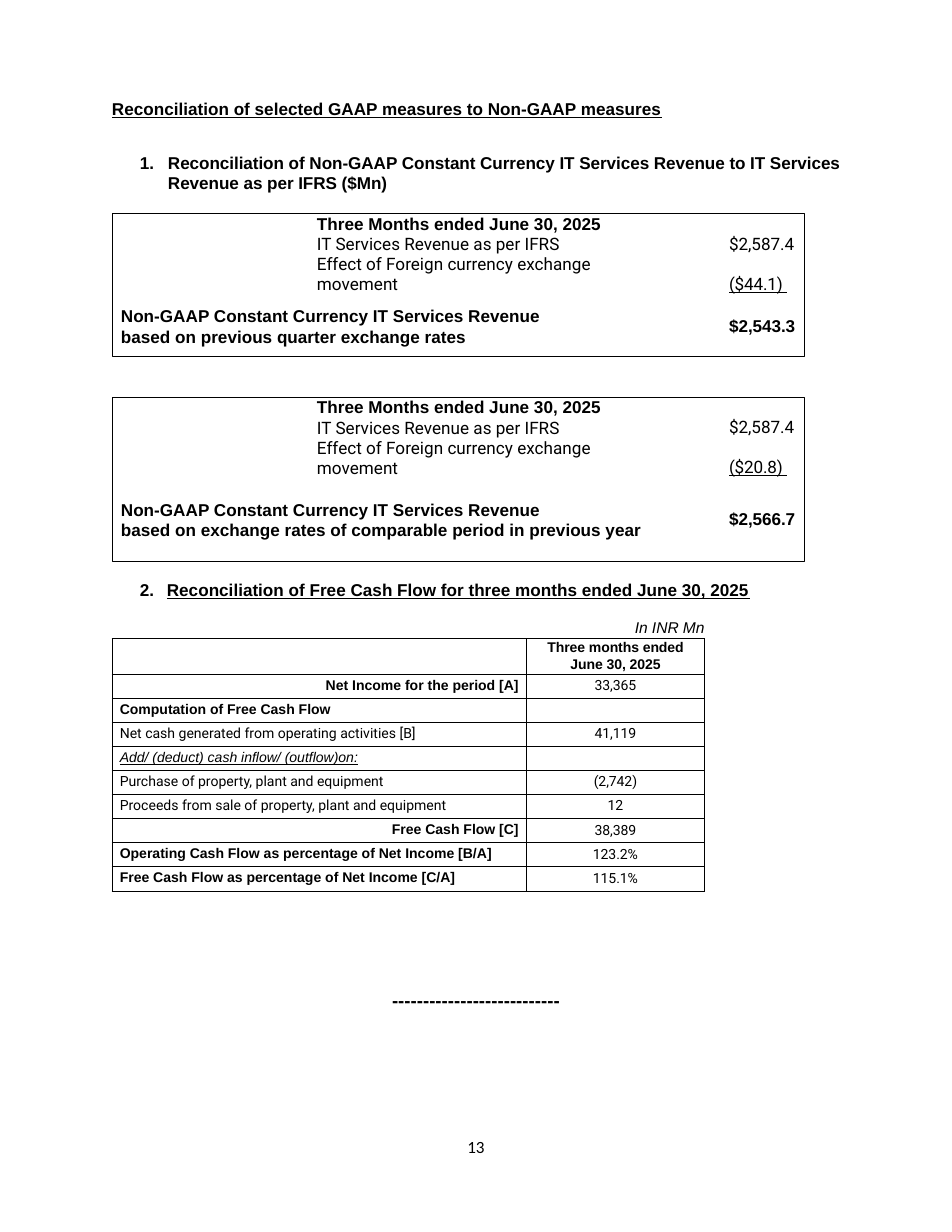
from dataclasses import dataclass
from typing import NamedTuple

from lxml.etree import SubElement
from pptx import Presentation
from pptx.dml.color import RGBColor
from pptx.enum.text import PP_ALIGN
from pptx.oxml.ns import qn
from pptx.util import Emu, Inches, Pt

BLACK = RGBColor(0, 0, 0)
UNIT = Inches(0.1)  # the page is a grid of 85 columns by 110 rows
COLUMNS, ROWS = 85, 110
MARGIN = 10
FRAME_WIDTH = 61.8
FRAME_SPLIT = 3.65  # height of the upper part of a frame
LABEL_LEFT = MARGIN + 0.8
LINE = 12.9


class Area(NamedTuple):
    left: float
    top: float
    width: float
    height: float


@dataclass
class Reconciliation:
    top: float
    height: float
    label_offset: float
    effect: str
    basis: str
    total: str


@dataclass
class CashFlowRow:
    label: str
    value: str = ""
    bold: bool = False
    italic: bool = False
    align: PP_ALIGN = PP_ALIGN.LEFT


RECONCILIATIONS = [
    Reconciliation(19.05, 12.8, 8.1, "($44.1) ",
                   "based on previous quarter exchange rates", "$2,543.3"),
    Reconciliation(35.45, 14.65, 8.95, "($20.8) ",
                   "based on exchange rates of comparable period in previous year", "$2,566.7"),
]
CASH_FLOW = [
    CashFlowRow("Net Income for the period [A]", "33,365", bold=True, align=PP_ALIGN.RIGHT),
    CashFlowRow("Computation of Free Cash Flow", bold=True),
    CashFlowRow("Net cash generated from operating activities [B]", "41,119"),
    CashFlowRow("Add/ (deduct) cash inflow/ (outflow)on:", italic=True),
    CashFlowRow("Purchase of property, plant and equipment", "(2,742)"),
    CashFlowRow("Proceeds from sale of property, plant and equipment", "12"),
    CashFlowRow("Free Cash Flow [C]", "38,389", bold=True, align=PP_ALIGN.RIGHT),
    CashFlowRow("Operating Cash Flow as percentage of Net Income [B/A]", "123.2%", bold=True),
    CashFlowRow("Free Cash Flow as percentage of Net Income [C/A]", "115.1%", bold=True),
]


def grid(count: float) -> Emu:
    return Emu(round(count * UNIT))


def place(area: Area) -> list[Emu]:
    return [grid(length) for length in area]


def add_span(para, text: str, *, size: float = 11, font: str = "Arial", bold: bool = False,
             italic: bool = False, underline: bool = False, spacing: float = 0) -> None:
    span = para.add_run()
    span.text = text
    span.font.size, span.font.name = Pt(size), font
    span.font.bold, span.font.italic, span.font.underline = bold, italic, underline
    span.font.color.rgb = BLACK
    span._r.get_or_add_rPr().set("spc", str(round(spacing * 100)))


def add_box(page, area: Area):
    """Add a text box and return its text frame."""
    frame = page.shapes.add_textbox(*place(area)).text_frame
    frame.word_wrap = True
    frame.margin_left = frame.margin_right = frame.margin_bottom = 0
    frame.margin_top = Inches(0.02)
    return frame


def write(frame, text: str, *, number: str = "", indent: float = 0, hanging: float = 0,
          line: float | None = None, before: float = 0,
          align: PP_ALIGN = PP_ALIGN.LEFT, **style) -> None:
    """Add one paragraph, using the frame's first paragraph while it is empty."""
    first = frame.paragraphs[0]
    para = frame.add_paragraph() if first.runs else first
    properties = para._p.get_or_add_pPr()
    properties.set("marL", str(grid(indent)))
    properties.set("indent", str(-grid(hanging)))
    para.alignment = align
    para.space_before = Pt(before)
    if line:
        para.line_spacing = Pt(line)
    if number:
        add_span(para, number + "\t", **{**style, "underline": False})
    for index, part in enumerate(text.split("\n")):
        if index:
            para.add_line_break()
        add_span(para, part, **style)


def draw_bracket(page, start: float, end: float) -> None:
    """Draw both sides of a frame and the edge that joins them at row `end`."""
    right = MARGIN + FRAME_WIDTH
    builder = page.shapes.build_freeform(grid(MARGIN), grid(start))
    builder.add_line_segments(
        [(grid(MARGIN), grid(end)), (grid(right), grid(end)), (grid(right), grid(start))],
        close=False)
    bracket = builder.convert_to_shape()
    bracket.shadow.inherit = False
    bracket.fill.background()
    bracket.line.color.rgb = BLACK
    bracket.line.width = Pt(0.5)


def draw_reconciliation(page, item: Reconciliation) -> None:
    split = item.top + FRAME_SPLIT
    draw_bracket(page, split, item.top)
    draw_bracket(page, split, item.top + item.height)

    lines = add_box(page, Area(LABEL_LEFT, item.top - 0.2, 42.9, 5.7))
    write(lines, "Three Months ended June 30, 2025", indent=17.5, line=13.1, bold=True)
    for text in ("IT Services Revenue as per IFRS", "Effect of Foreign currency exchange movement"):
        write(lines, text, indent=17.5, line=LINE, font="Roboto")

    amounts = add_box(page, Area(63.5, item.top + 1.6, 8.4, 5.7))
    write(amounts, "$2,587.4", indent=1.6, line=LINE, font="Roboto", spacing=-0.05)
    write(amounts, item.effect, indent=1.6, line=LINE, before=LINE, font="Roboto",
          underline=True, spacing=-0.1)

    label_top = item.top + item.label_offset
    label = add_box(page, Area(LABEL_LEFT, label_top, 48, 3.9))
    write(label, "Non-GAAP Constant Currency IT Services Revenue", line=LINE, bold=True)
    write(label, item.basis, line=LINE, bold=True)
    total = add_box(page, Area(65.1, label_top + 0.8, 6.5, 2.1))
    write(total, item.total, bold=True, spacing=-0.05)


def prepare_cell(cell, top: float) -> None:
    """Clear the fill, set margins and draw a thin black border on all four sides."""
    cell.fill.background()
    cell.margin_left = cell.margin_right = Inches(0.07)
    cell.margin_top, cell.margin_bottom = Inches(top), 0
    cell.text_frame.paragraphs[0]._p.get_or_add_endParaRPr().set("sz", "900")
    properties = cell._tc.get_or_add_tcPr()
    for index, side in enumerate(("lnL", "lnR", "lnT", "lnB")):
        border = SubElement(properties, qn(f"a:{side}"), w=str(Pt(0.5)))
        fill = SubElement(border, qn("a:solidFill"))
        SubElement(fill, qn("a:srgbClr"), val=str(BLACK))
        properties.remove(border)
        properties.insert(index, border)


def draw_cash_flow(page) -> None:
    widths, header_height, row_height = (37, 15.9), 3.2, 2.15
    height = header_height + row_height * len(CASH_FLOW)
    table = page.shapes.add_table(
        len(CASH_FLOW) + 1, len(widths), *place(Area(MARGIN, 57, sum(widths), height))).table
    table.first_row = table.horz_banding = False
    for column, width in zip(table.columns, widths):
        column.width = grid(width)
    for index, row in enumerate(table.rows):
        row.height = grid(row_height if index else header_height)
        for cell in row.cells:
            prepare_cell(cell, 0.03 if index else 0.01)

    write(table.cell(0, 1).text_frame, "Three months ended\nJune 30, 2025",
          size=9, bold=True, line=10.5, align=PP_ALIGN.CENTER, spacing=-0.05)
    for index, item in enumerate(CASH_FLOW, start=1):
        font = "Arial" if item.bold or item.italic else "Roboto"
        write(table.cell(index, 0).text_frame, item.label, size=9, font=font, bold=item.bold,
              italic=item.italic, underline=item.italic, align=item.align)
        if item.value:
            write(table.cell(index, 1).text_frame, item.value, size=9, font="Roboto",
                  align=PP_ALIGN.CENTER, spacing=-0.05)


def main() -> None:
    deck = Presentation()
    deck.slide_width, deck.slide_height = grid(COLUMNS), grid(ROWS)
    page = deck.slides.add_slide(deck.slide_layouts[6])

    headings = add_box(page, Area(9.9, 8.6, 65.4, 8.6))
    write(headings, "Reconciliation of selected GAAP measures to Non-GAAP measures",
          indent=0.1, bold=True, underline=True)
    write(headings, "Reconciliation of Non-GAAP Constant Currency IT Services Revenue "
          "to IT Services Revenue as per IFRS ($Mn)",
          number="1.", indent=5.1, hanging=2.5, line=12.7, before=21.9, bold=True, spacing=-0.06)

    for item in RECONCILIATIONS:
        draw_reconciliation(page, item)

    cash_heading = add_box(page, Area(12.4, 51.5, 56, 2.1))
    write(cash_heading, "Reconciliation of Free Cash Flow for three months ended June 30, 2025",
          number="2.", indent=2.5, hanging=2.4, bold=True, underline=True)
    write(add_box(page, Area(52.9, 55, 10, 1.8)), "In INR Mn",
          size=10, italic=True, align=PP_ALIGN.RIGHT)
    draw_cash_flow(page)

    write(add_box(page, Area(34.5, 88.1, 16, 2.3)), "-" * 27,
          size=12, bold=True, align=PP_ALIGN.CENTER)
    write(add_box(page, Area(41.5, 101.5, 2, 2)), "13",
          line=11.5, font="Calibri", align=PP_ALIGN.CENTER)
    deck.save("out.pptx")


if __name__ == "__main__":
    main()
